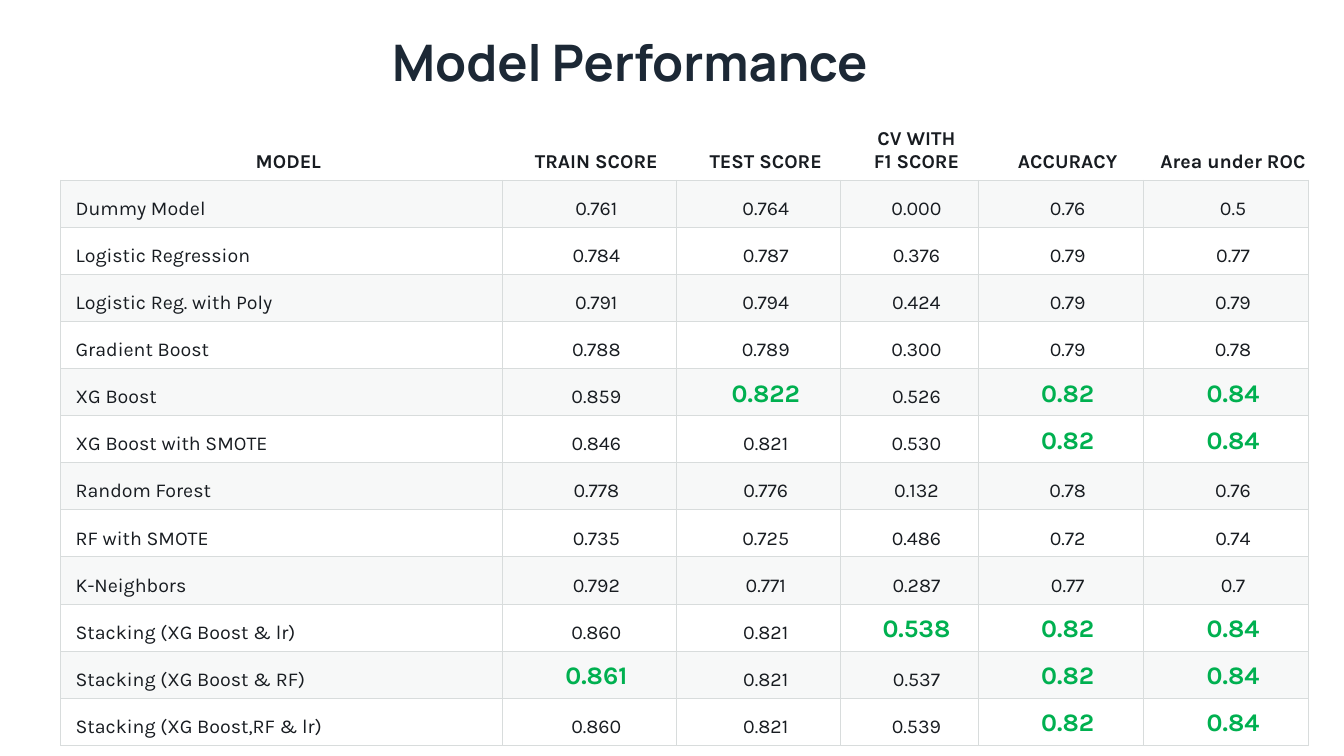
from lxml import etree
from pptx import Presentation
from pptx.dml.color import RGBColor
from pptx.enum.shapes import MSO_SHAPE
from pptx.enum.text import MSO_ANCHOR, PP_ALIGN
from pptx.oxml.ns import qn
from pptx.util import Inches, Pt

RECTANGLE = MSO_SHAPE.RECTANGLE
MIDDLE, BOTTOM = MSO_ANCHOR.MIDDLE, MSO_ANCHOR.BOTTOM
LEFT, CENTER = PP_ALIGN.LEFT, PP_ALIGN.CENTER

WHITE = "FFFFFF"
NAVY = "1C2835"
INK = "181C21"
GREEN = "00B050"
RULE = "D8DCDC"
BAND = "D8DEDC"

HEADINGS = ["MODEL", "TRAIN SCORE", "TEST SCORE", "CV WITH\nF1 SCORE", "ACCURACY", "Area under ROC"]
HIGHLIGHTS = [None, "0.861", "0.822", "0.538", "0.82", "0.84"]
SCORES = [
    ["Dummy Model", "0.761", "0.764", "0.000", "0.76", "0.5"],
    ["Logistic Regression", "0.784", "0.787", "0.376", "0.79", "0.77"],
    ["Logistic Reg. with Poly", "0.791", "0.794", "0.424", "0.79", "0.79"],
    ["Gradient Boost", "0.788", "0.789", "0.300", "0.79", "0.78"],
    ["XG Boost", "0.859", "0.822", "0.526", "0.82", "0.84"],
    ["XG Boost with SMOTE", "0.846", "0.821", "0.530", "0.82", "0.84"],
    ["Random Forest", "0.778", "0.776", "0.132", "0.78", "0.76"],
    ["RF with SMOTE", "0.735", "0.725", "0.486", "0.72", "0.74"],
    ["K-Neighbors", "0.792", "0.771", "0.287", "0.77", "0.7"],
    ["Stacking (XG Boost & lr)", "0.860", "0.821", "0.538", "0.82", "0.84"],
    ["Stacking (XG Boost & RF)", "0.861", "0.821", "0.537", "0.82", "0.84"],
    ["Stacking (XG Boost,RF & lr)", "0.860", "0.821", "0.539", "0.82", "0.84"],
]
COLUMN_WIDTHS = [4.38, 1.73, 1.63, 1.36, 1.64, 1.64]
HEADING_HEIGHT, SCORE_HEIGHT = 0.87, 0.467
CELL_FORMAT = {
    "vertical_anchor": BOTTOM,
    "margin_left": Inches(0.15),
    "margin_top": Inches(0.07),
    "margin_right": Inches(0.01),
    "margin_bottom": Inches(0.07),
}


def rgb(value):
    return RGBColor.from_string(value)


def write(frame, text, font, size, color, bold, align):
    frame.text = text
    for paragraph in frame.paragraphs:
        paragraph.alignment = align
        for run in paragraph.runs:
            for key, value in {"name": font, "size": Pt(size), "bold": bold}.items():
                setattr(run.font, key, value)
            run.font.color.rgb = rgb(color)


deck = Presentation()
deck.slide_width, deck.slide_height = Inches(13.33), Inches(7.5)
slide = deck.slides.add_slide(deck.slide_layouts[6])

backdrop = slide.shapes.add_shape(RECTANGLE, 0, 0, deck.slide_width, deck.slide_height)
backdrop.shadow.inherit = False
backdrop.fill.solid()
backdrop.fill.fore_color.rgb = rgb(WHITE)
backdrop.line.fill.background()

title = slide.shapes.add_textbox(Inches(3.79), Inches(0.2), Inches(5.75), Inches(0.9)).text_frame
title.word_wrap = True
title.vertical_anchor = MIDDLE
write(title, "Model Performance", "Manrope", 36, NAVY, True, LEFT)
title.paragraphs[0].line_spacing = 0.9
title.paragraphs[0].space_after = Pt(6)

rows = [HEADINGS] + SCORES
performance = slide.shapes.add_table(
    len(rows), len(HEADINGS), Inches(0.6), Inches(0.92), Inches(sum(COLUMN_WIDTHS)),
    Inches(HEADING_HEIGHT + SCORE_HEIGHT * len(SCORES))).table
performance.first_row = False
performance.horz_banding = False
for column, width in zip(performance.columns, COLUMN_WIDTHS):
    column.width = Inches(width)

for r, values in enumerate(rows):
    performance.rows[r].height = Inches(SCORE_HEIGHT if r else HEADING_HEIGHT)
    for c, value in enumerate(values):
        cell = performance.cell(r, c)
        for key, setting in CELL_FORMAT.items():
            setattr(cell, key, setting)
        best = r > 0 and value == HIGHLIGHTS[c]
        write(cell.text_frame, value, "Karla", 18 if best else 14, GREEN if best else INK,
              best or r == 0, LEFT if r and c == 0 else CENTER)

        properties = cell._tc.get_or_add_tcPr()
        if r % 2:
            cell.fill.solid()
            cell.fill.fore_color.rgb = rgb(BAND)
            tint = properties.find(".//" + qn("a:srgbClr"))
            etree.SubElement(tint, qn("a:alpha"), val="20000")
        else:
            cell.fill.background()

        for position, side in enumerate(["lnL", "lnR", "lnT", "lnB"]):
            border = etree.Element(qn("a:" + side), w=str(Pt(0.75)))
            if r or side == "lnB":
                stroke = etree.SubElement(border, qn("a:solidFill"))
                etree.SubElement(stroke, qn("a:srgbClr"), val=RULE)
            else:
                etree.SubElement(border, qn("a:noFill"))
            properties.insert(position, border)

deck.save("out.pptx")
